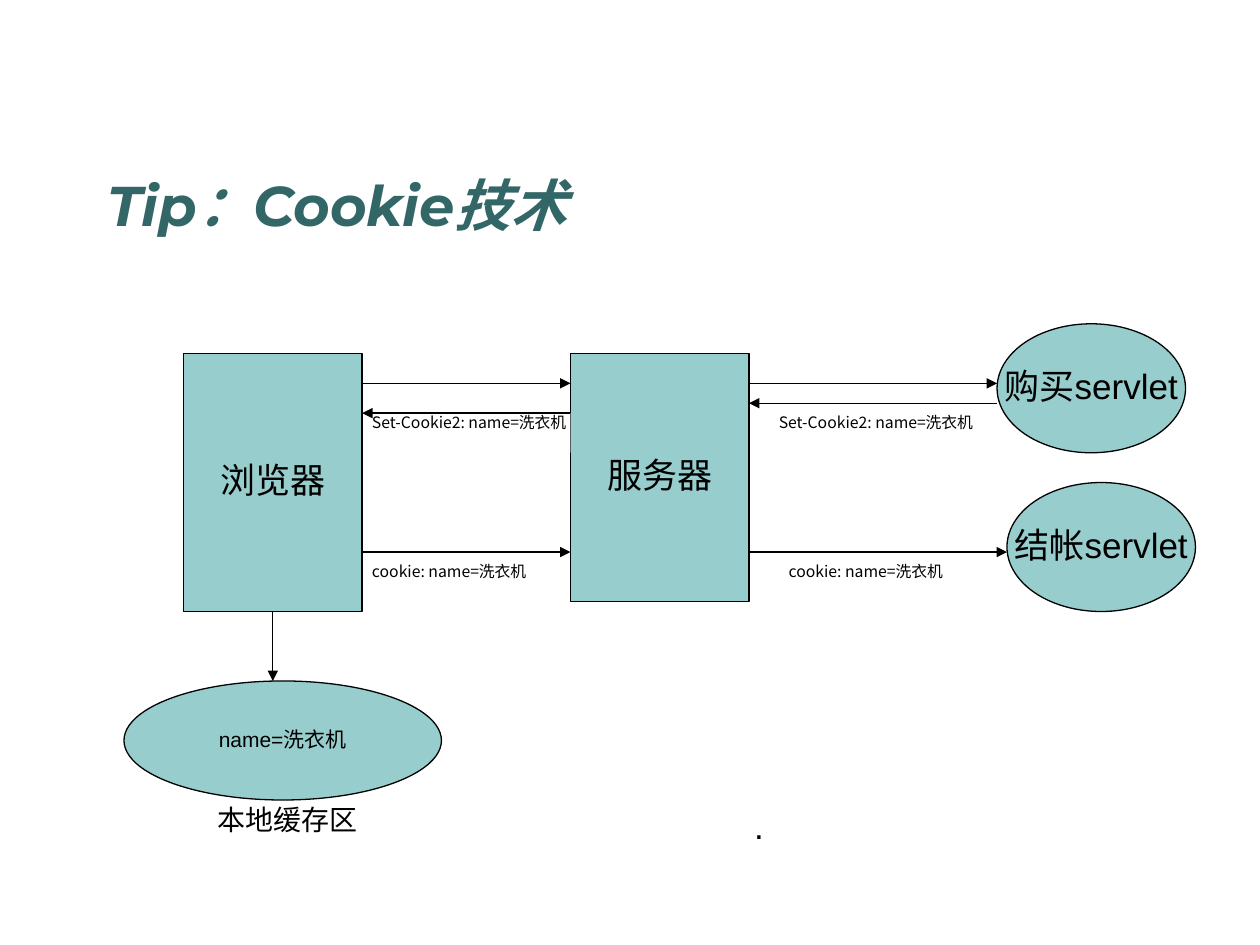
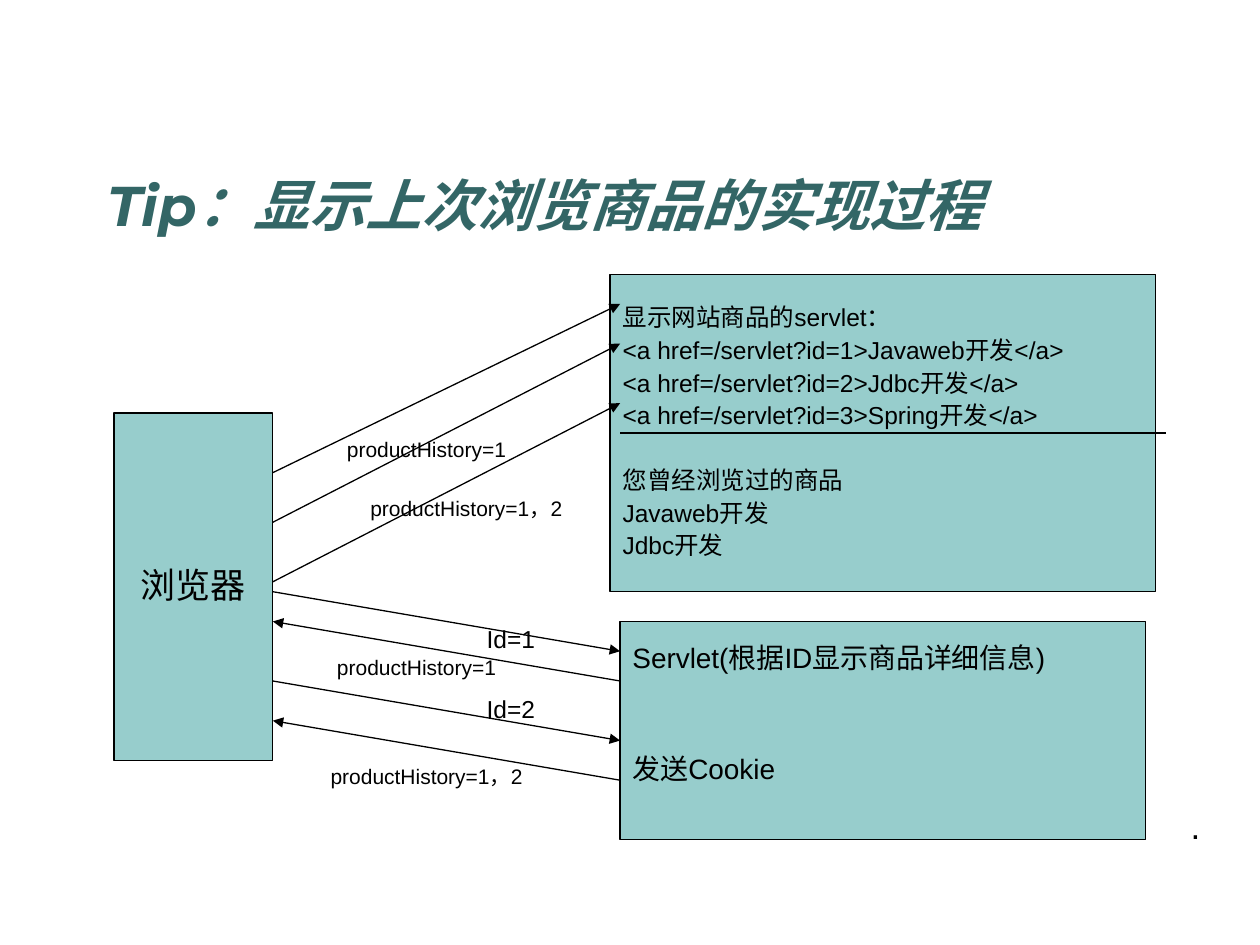
from typing import NamedTuple

from lxml.etree import SubElement
from pptx import Presentation
from pptx.dml.color import RGBColor
from pptx.enum.shapes import MSO_CONNECTOR as Connector, MSO_SHAPE as Shape
from pptx.enum.text import MSO_ANCHOR as Anchor, MSO_AUTO_SIZE as AutoSize, PP_ALIGN as Align
from pptx.oxml.ns import qn
from pptx.util import Cm, Inches, Pt

TEAL = RGBColor(0x97, 0xCD, 0xCC)
DARK_TEAL = RGBColor(0x33, 0x66, 0x66)
BLACK = RGBColor(0, 0, 0)
WHITE = RGBColor(255, 255, 255)

BODY_FONT, TITLE_FONT, CJK_FONT = "Arial", "Montserrat", "Noto Sans CJK SC"
CELL = 0.2  # grid cell in cm
GRID_LEFT, GRID_TOP = 0.5, 0.64  # grid origin in cells
LINE_WIDTH = Pt(0.75)


class Node(NamedTuple):
    text: str
    col: float
    row: float
    cols: float
    rows: float
    size: float = 20
    kind: Shape = Shape.RECTANGLE


class Panel(NamedTuple):
    """A box of left-aligned blocks of lines, with a gap in points between blocks."""
    blocks: list[list[str]]
    col: float
    row: float
    cols: float
    rows: float
    size: float
    gap: float
    bottom: float = 0.05


class Label(NamedTuple):
    text: str
    col: float
    row: float
    cols: float


class Caption(NamedTuple):
    text: str
    col: float
    row: float
    cols: float
    rows: float
    size: float
    before: float = 0.625  # space before, as a share of the size


class Line(NamedTuple):
    col1: float
    row1: float
    col2: float
    row2: float
    arrow: bool = True


def x(col: float) -> int:
    return Cm((GRID_LEFT + col) * CELL)


def y(row: float) -> int:
    return Cm((GRID_TOP + row) * CELL)


def frame(item) -> tuple[int, int, int, int]:
    return x(item.col), y(item.row), Cm(item.cols * CELL), Cm(item.rows * CELL)


def write(p, text: str, size: float, font: str = BODY_FONT, color: RGBColor = BLACK):
    r = p.add_run()
    r.text = text
    r.font.size, r.font.name = Pt(size), font
    r.font.color.rgb = color
    SubElement(r.font._element, qn("a:ea"), typeface=CJK_FONT)
    return r


def write_spaced(p, text: str, size: float, before: float, align: Align) -> None:
    p.alignment, p.line_spacing, p.space_before = align, 0.9, Pt(before)
    write(p, text, size)


def set_insets(tf, side: float, top: float, bottom: float) -> None:
    tf.margin_left = tf.margin_right = Inches(side)
    tf.margin_top, tf.margin_bottom = Inches(top), Inches(bottom)


def add_box(s, item, kind: Shape = Shape.RECTANGLE):
    sp = s.shapes.add_shape(kind, *frame(item))
    sp.shadow.inherit = False
    sp.fill.solid()
    sp.fill.fore_color.rgb = TEAL
    sp.line.color.rgb, sp.line.width = BLACK, LINE_WIDTH
    sp.text_frame.vertical_anchor = Anchor.MIDDLE
    set_insets(sp.text_frame, 0.1, 0.05, 0.05)
    return sp


def add_node(s, node: Node) -> None:
    tf = add_box(s, node, node.kind).text_frame
    tf.word_wrap = False
    write_spaced(tf.paragraphs[0], node.text, node.size, node.size / 4, Align.CENTER)


def add_panel(s, panel: Panel) -> None:
    tf = add_box(s, panel).text_frame
    tf.word_wrap = True
    tf.margin_bottom = Inches(panel.bottom)
    p = tf.paragraphs[0]
    for b, block in enumerate(panel.blocks):
        for i, text in enumerate(block):
            if b or i:
                p = tf.add_paragraph()
            before = panel.gap if b and not i else panel.size / 4
            write_spaced(p, text, panel.size, before, Align.LEFT)


def add_label(s, label: Label) -> None:
    sp = s.shapes.add_shape(Shape.RECTANGLE, x(label.col), y(label.row),
                            Cm(label.cols * CELL), Cm(4 * CELL))
    sp.shadow.inherit = False
    sp.fill.solid()
    sp.fill.fore_color.rgb = WHITE
    sp.line.fill.background()
    tf = sp.text_frame
    tf.word_wrap, tf.vertical_anchor = True, Anchor.TOP
    set_insets(tf, 0, 0, 0)
    p = tf.paragraphs[0]
    p.alignment = Align.LEFT
    write(p, label.text, 9, CJK_FONT)


def add_caption(s, caption: Caption) -> None:
    tf = s.shapes.add_textbox(*frame(caption)).text_frame
    tf.word_wrap = True
    set_insets(tf, 0.1, 0.05, 0.05)
    write_spaced(tf.paragraphs[0], caption.text, caption.size,
                 caption.size * caption.before, Align.CENTER)


def add_line(s, line: Line) -> None:
    c = s.shapes.add_connector(Connector.STRAIGHT, x(line.col1), y(line.row1),
                               x(line.col2), y(line.row2))
    c.line.color.rgb, c.line.width = BLACK, LINE_WIDTH
    if line.arrow:
        SubElement(c.line._get_or_add_ln(), qn("a:tailEnd"), type="triangle")
    SubElement(c._element.spPr, qn("a:effectLst"))


DRAW = {Node: add_node, Panel: add_panel, Label: add_label,
        Caption: add_caption, Line: add_line}


def add_slide(prs, title: str, items: list) -> None:
    s = prs.slides.add_slide(prs.slide_layouts[5])
    sp = s.shapes.title
    w, h = prs.slide_width, prs.slide_height
    sp.left, sp.top = int(w * 0.075), int(h * 0.048)
    sp.width, sp.height = int(w * 0.84), int(h * 0.21)
    tf = sp.text_frame
    tf.vertical_anchor, tf.auto_size = Anchor.BOTTOM, AutoSize.NONE
    p = tf.paragraphs[0]
    p.alignment = Align.LEFT
    r = write(p, title, 32, TITLE_FONT, DARK_TEAL)
    r.font.bold = r.font.italic = True
    for item in items:
        DRAW[type(item)](s, item)


def dot(col: float) -> Caption:
    return Caption(".", col, 80.3, 13, 5, 20, 0.25)


SET_COOKIE = "Set-Cookie2: name=洗衣机"
COOKIE = "cookie: name=洗衣机"
COOKIE_FLOW = [
    Node("浏览器", 18, 35, 18, 26),
    Node("服务器", 57, 35, 18, 25),
    Node("购买servlet", 100, 32, 19, 13, kind=Shape.OVAL),
    Node("结帐servlet", 101, 48, 19, 13, kind=Shape.OVAL),
    Node("name=洗衣机", 12, 68, 32, 12, 12, Shape.OVAL),
    Label(SET_COOKIE, 78, 41, 22),
    Label(SET_COOKIE, 37, 41, 20),
    Label(COOKIE, 37, 56, 18),
    Label(COOKIE, 79, 56, 18),
    Line(36, 38, 57, 38),
    Line(75, 38, 100, 38),
    Line(100, 40, 75, 40),
    Line(57, 41, 36, 41),
    Line(36, 55, 57, 55),
    Line(75, 55, 101, 55),
    Line(27, 61, 27, 68),
    Caption("本地缓存区", 17, 80, 23, 4.3, 16),
    dot(69.5),
]

SHOP_PAGE = [
    ["显示网站商品的servlet：",
     "<a href=/servlet?id=1>Javaweb开发</a>",
     "<a href=/servlet?id=2>Jdbc开发</a>",
     "<a href=/servlet?id=3>Spring开发</a>"],
    ["您曾经浏览过的商品", "Javaweb开发", "Jdbc开发"],
]
DETAIL_PAGE = [["Servlet(根据ID显示商品详细信息)"], ["发送Cookie"]]
BROWSER_EDGE, SERVLET_EDGE = 27, 62
REQUEST_ROWS = [(47, 30), (52, 34), (58, 40), (59, 65), (68, 74)]
RESPONSE_ROWS = [(68, 62), (78, 72)]
FIRST, BOTH = "productHistory=1", "productHistory=1，2"
HISTORY_FLOW = [
    Panel(SHOP_PAGE, 61, 27, 55, 32, 14, 22),
    Line(62, 43, 117, 43, arrow=False),
    Node("浏览器", 11, 41, 16, 35),
    Panel(DETAIL_PAGE, 62, 62, 53, 22, 16, 46, 0.3),
    *(Line(BROWSER_EDGE, a, SERVLET_EDGE, b) for a, b in REQUEST_ROWS),
    *(Line(SERVLET_EDGE, a, BROWSER_EDGE, b) for a, b in RESPONSE_ROWS),
    *(Caption(f"Id={i}", 44, row, 14, 4, 14) for i, row in ((1, 62), (2, 69))),
    *(Caption(text, col, row, 23, 3.6, 12) for text, col, row in
      ((FIRST, 30, 65), (FIRST, 31, 43), (BOTH, 31, 76), (BOTH, 35, 49))),
    dot(113.5),
]


def main() -> None:
    prs = Presentation()
    prs.slide_width, prs.slide_height = Inches(10), Inches(7.5)
    add_slide(prs, "Tip：Cookie技术", COOKIE_FLOW)
    add_slide(prs, "Tip：显示上次浏览商品的实现过程", HISTORY_FLOW)
    prs.save("out.pptx")


if __name__ == "__main__":
    main()
